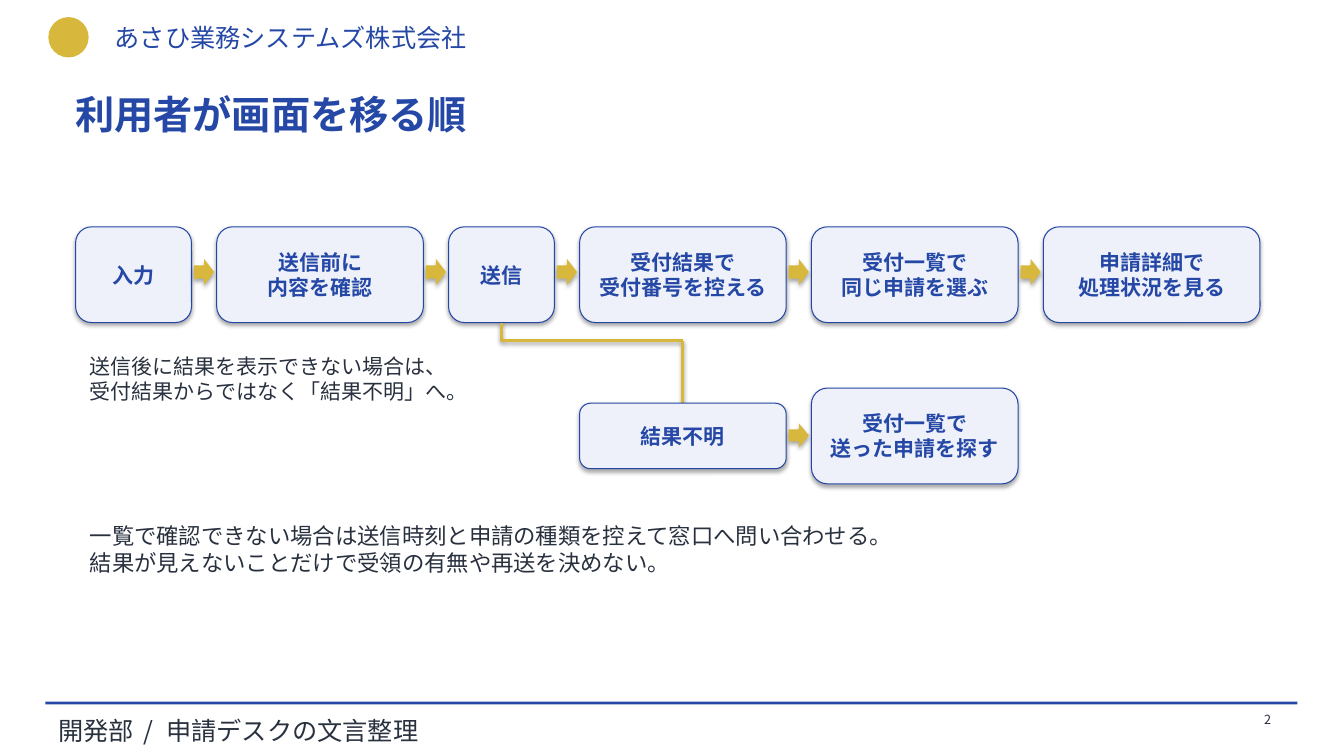
"""Builds the slide showing the order in which a user moves through the screens."""
from lxml.etree import SubElement
from pptx import Presentation
from pptx.dml.color import RGBColor
from pptx.enum.shapes import MSO_CONNECTOR as LINK, MSO_SHAPE as SHAPE
from pptx.enum.text import MSO_ANCHOR as ANCHOR, MSO_AUTO_SIZE as FIT, PP_ALIGN as ALIGN
from pptx.oxml.ns import qn
from pptx.util import Pt

FONT = "Noto Sans CJK JP"
BLUE = RGBColor(0x25, 0x48, 0xA6)
GOLD = RGBColor(0xD8, 0xB8, 0x3C)
PALE = RGBColor(0xEE, 0xF1, 0xFA)
INK = RGBColor(0x29, 0x31, 0x3F)

COMPANY = "あさひ業務システムズ株式会社"
TITLE = "利用者が画面を移る順"
FOOTER = ["開発部", " / ", "申請デスクの文言整理"]
PAGE = "2"
MAIN_STEPS = [
    (["入力"], 82.8),
    (["送信前に", "内容を確認"], 147.6),
    (["送信"], 75.6),
    (["受付結果で", "受付番号を控える"], 147.6),
    (["受付一覧で", "同じ申請を選ぶ"], 147.6),
    (["申請詳細で", "処理状況を見る"], 154.8),
]
SEND, RECEIPT = 2, 3
UNKNOWN = ["結果不明"]
SEARCH = ["受付一覧で", "送った申請を探す"]
BRANCH_NOTE = ["送信後に結果を表示できない場合は、", "受付結果からではなく「結果不明」へ。"]
CLOSING_NOTE = [
    "一覧で確認できない場合は送信時刻と申請の種類を控えて窓口へ問い合わせる。",
    "結果が見えないことだけで受領の有無や再送を決めない。",
]

LEFT, TOP, GAP, STEP_H = 54, 162, 18, 68.4
ARROW_W, ARROW_TOP = 14.4, 185
UNKNOWN_TOP, UNKNOWN_H, SEARCH_TOP = 288, 46.8, 277.2
BEND = 243.4
NARROW = (2.88, 2.16)
STEP_INSET = (5.04, 2.88)

prs = Presentation()
prs.slide_width, prs.slide_height = Pt(960), Pt(540)
slide = prs.slides.add_slide(prs.slide_layouts[6])


def write(frame, lines, size, color, bold=False, align=ALIGN.LEFT, inset=(7.2, 3.6)):
    frame.margin_left = frame.margin_right = Pt(inset[0])
    frame.margin_top = frame.margin_bottom = Pt(inset[1])
    for i, line in enumerate(lines):
        para = frame.paragraphs[0] if i == 0 else frame.add_paragraph()
        para.add_run().text = line
        style(para, size, color, bold, align)


def style(para, size, color, bold=False, align=ALIGN.LEFT):
    para.alignment = align
    font = para.font
    font.name, font.size, font.bold = FONT, Pt(size), bold
    font.color.rgb = color
    SubElement(font._rPr, qn("a:ea"), typeface=FONT)


def text(x, y, w, h, lines, size, color, wrap=True, fit=FIT.SHAPE_TO_FIT_TEXT, **look):
    frame = slide.shapes.add_textbox(Pt(x), Pt(y), Pt(w), Pt(h)).text_frame
    frame.word_wrap, frame.auto_size = wrap, fit
    write(frame, lines, size, color, **look)
    return frame


def solid(kind, x, y, w, h, fill, shadow=True):
    shape = slide.shapes.add_shape(kind, Pt(x), Pt(y), Pt(w), Pt(h))
    shape.fill.solid()
    shape.fill.fore_color.rgb = fill
    shape.line.fill.background()
    if not shadow:
        shape.shadow.inherit = False
    return shape


def step(x, y, w, h, lines):
    box = solid(SHAPE.ROUNDED_RECTANGLE, x, y, w, h, PALE)
    box.line.color.rgb, box.line.width = BLUE, Pt(0.75)
    box.text_frame.vertical_anchor = ANCHOR.MIDDLE
    box.text_frame.word_wrap = True
    write(box.text_frame, lines, 15, BLUE, True, ALIGN.CENTER, STEP_INSET)
    return box


def arrow(box_right, y, h):
    solid(SHAPE.RIGHT_ARROW, box_right + (GAP - ARROW_W) / 2, y, ARROW_W, h, GOLD)


def link(x1, y1, x2, y2):
    line = slide.shapes.add_connector(LINK.STRAIGHT, Pt(x1), Pt(y1), Pt(x2), Pt(y2))
    line.line.color.rgb, line.line.width = GOLD, Pt(2)
    return line


solid(SHAPE.OVAL, 34.56, 12.24, 28.8, 28.8, GOLD, shadow=False)
text(74.88, 12.24, 504, 24.48, [COMPANY], 18, BLUE, wrap=False)
solid(SHAPE.RECTANGLE, 32.4, 501.12, 894.24, 2, BLUE, shadow=False)
footer = text(34.56, 507.6, 720, 18.72, [], 18, INK, wrap=False).paragraphs[0]
for part in FOOTER:
    footer.add_run().text = part
footer.runs[1]._r.get_or_add_rPr().set("spc", "270")
style(footer, 18, INK)
text(46.8, 61.2, 864, 72, [TITLE], 28, BLUE, fit=FIT.NONE, bold=True)
text(867.6, 506.16, 43.2, 21.6, [PAGE], 9, INK, align=ALIGN.RIGHT, inset=NARROW)

lefts = [LEFT + sum(w + GAP for _, w in MAIN_STEPS[:i]) for i in range(len(MAIN_STEPS))]
steps = [step(x, TOP, w, STEP_H, lines) for x, (lines, w) in zip(lefts, MAIN_STEPS)]
for x, (_, w) in list(zip(lefts, MAIN_STEPS))[:-1]:
    arrow(x + w, ARROW_TOP, 18.72)

unknown_x, unknown_w = lefts[RECEIPT], MAIN_STEPS[RECEIPT][1]
search_x, search_w = lefts[RECEIPT + 1], MAIN_STEPS[RECEIPT + 1][1]
send_mid = lefts[SEND] + MAIN_STEPS[SEND][1] / 2
unknown_mid = unknown_x + unknown_w / 2
drop = link(send_mid, TOP + STEP_H, send_mid, BEND)
link(send_mid, BEND, unknown_mid, BEND)
landing = link(unknown_mid, BEND, unknown_mid, UNKNOWN_TOP)
unknown = step(unknown_x, UNKNOWN_TOP, unknown_w, UNKNOWN_H, UNKNOWN)
drop.begin_connect(steps[SEND], 2)
landing.end_connect(unknown, 0)
arrow(unknown_x + unknown_w, 302.4, 17.28)
step(search_x, SEARCH_TOP, search_w, STEP_H, SEARCH)

text(61.2, 250.56, 334.8, 57.6, BRANCH_NOTE, 15, INK, inset=NARROW)
text(61.2, 370.8, 835.2, 64.8, CLOSING_NOTE, 16, INK, inset=NARROW)

prs.save("out.pptx")
